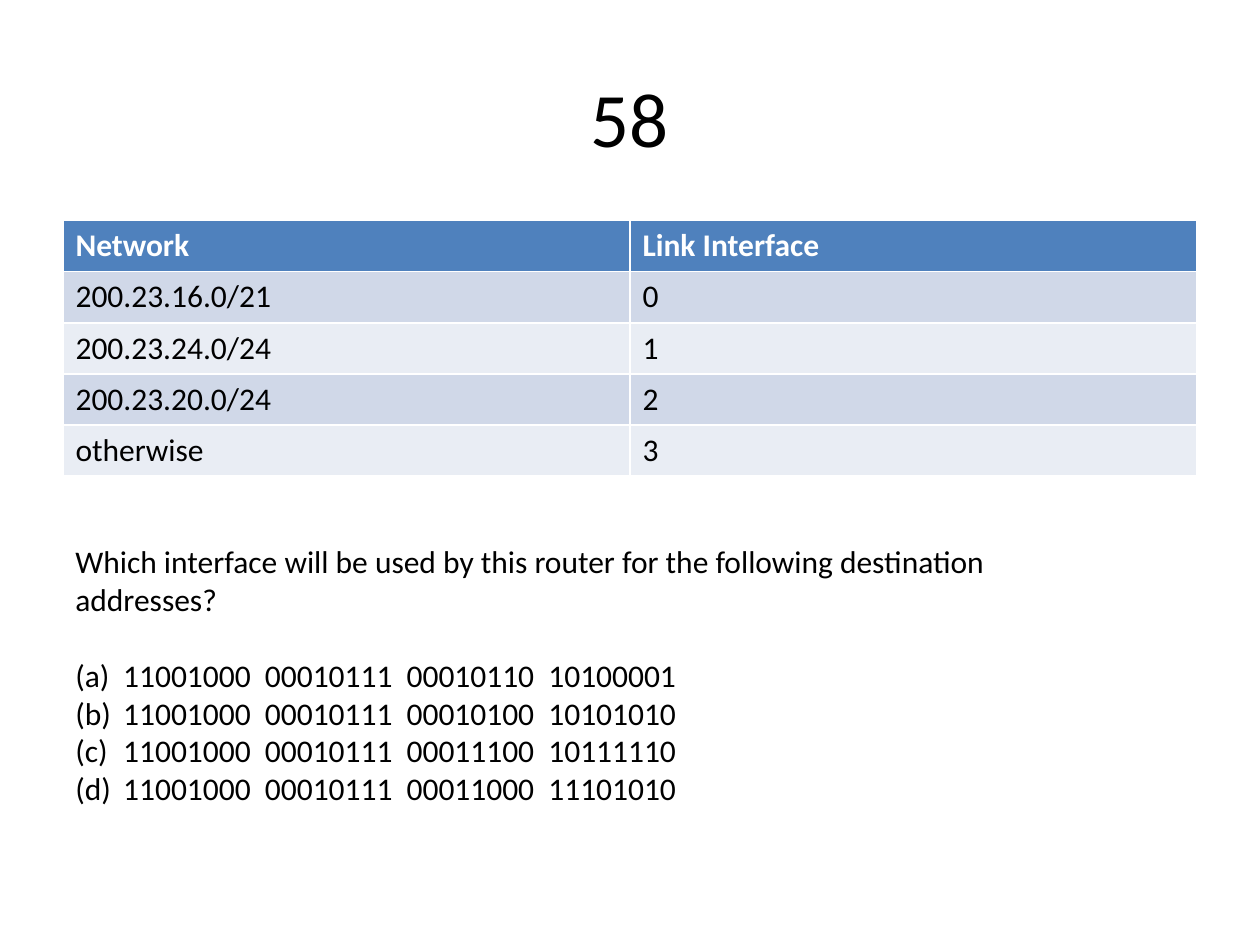
from pptx import Presentation
from pptx.dml.color import RGBColor
from pptx.enum.text import MSO_ANCHOR, PP_ALIGN
from pptx.util import Inches, Pt
from lxml.etree import SubElement
from pptx.oxml.ns import qn


def style(paragraph, size, color, bold=False):
    for run in paragraph.runs:
        run.font.name = "Calibri"
        run.font.size = Pt(size)
        run.font.bold = bold
        run.font.color.rgb = RGBColor.from_string(color)


def add_text(left, top, width, height, lines, size):
    frame = slide.shapes.add_textbox(
        Inches(left), Inches(top), Inches(width), Inches(height)
    ).text_frame
    frame.word_wrap = True
    frame.text = "\n".join(lines)
    for paragraph in frame.paragraphs:
        style(paragraph, size, "000000")
    return frame


presentation = Presentation()
presentation.slide_width = Inches(10)
presentation.slide_height = Inches(7.5)
slide = presentation.slides.add_slide(presentation.slide_layouts[6])
margin = 0.5
content_width = 10 - 2 * margin

title = add_text(margin, 0.3, content_width, 1.25, ["58"], 44)
title.vertical_anchor = MSO_ANCHOR.MIDDLE
title.paragraphs[0].alignment = PP_ALIGN.CENTER

routes = [
    ("Network", "Link Interface"),
    ("200.23.16.0/21", "0"),
    ("200.23.24.0/24", "1"),
    ("200.23.20.0/24", "2"),
    ("otherwise", "3"),
]
table = slide.shapes.add_table(
    len(routes), 2, Inches(margin), Inches(1.75), Inches(content_width), Inches(2.03)
).table
for row, route in enumerate(routes):
    header = row == 0
    fill = "4F81BD" if header else ("E9EDF4", "D0D8E8")[row % 2]
    for column, value in enumerate(route):
        cell = table.cell(row, column)
        cell.text = value
        cell.fill.solid()
        cell.fill.fore_color.rgb = RGBColor.from_string(fill)
        style(cell.text_frame.paragraphs[0], 18, "FFFFFF" if header else "000000", header)

question = "Which interface will be used by this router for the following destination addresses?"
addresses = [
    "11001000  00010111  00010110  10100001",
    "11001000  00010111  00010100  10101010",
    "11001000  00010111  00011100  10111110",
    "11001000  00010111  00011000  11101010",
]
exercise = add_text(margin, 4.25, 8.5, 2.22, [question, *addresses], 18)
options = exercise.paragraphs[1:]
options[0].space_before = Pt(22)
for option in options:
    properties = option._p.get_or_add_pPr()
    properties.set("marL", str(Inches(0.38)))
    properties.set("indent", str(-Inches(0.38)))
    SubElement(properties, qn("a:buFont"), typeface="+mj-lt")
    SubElement(properties, qn("a:buAutoNum"), type="alphaLcParenBoth")

presentation.save("out.pptx")
